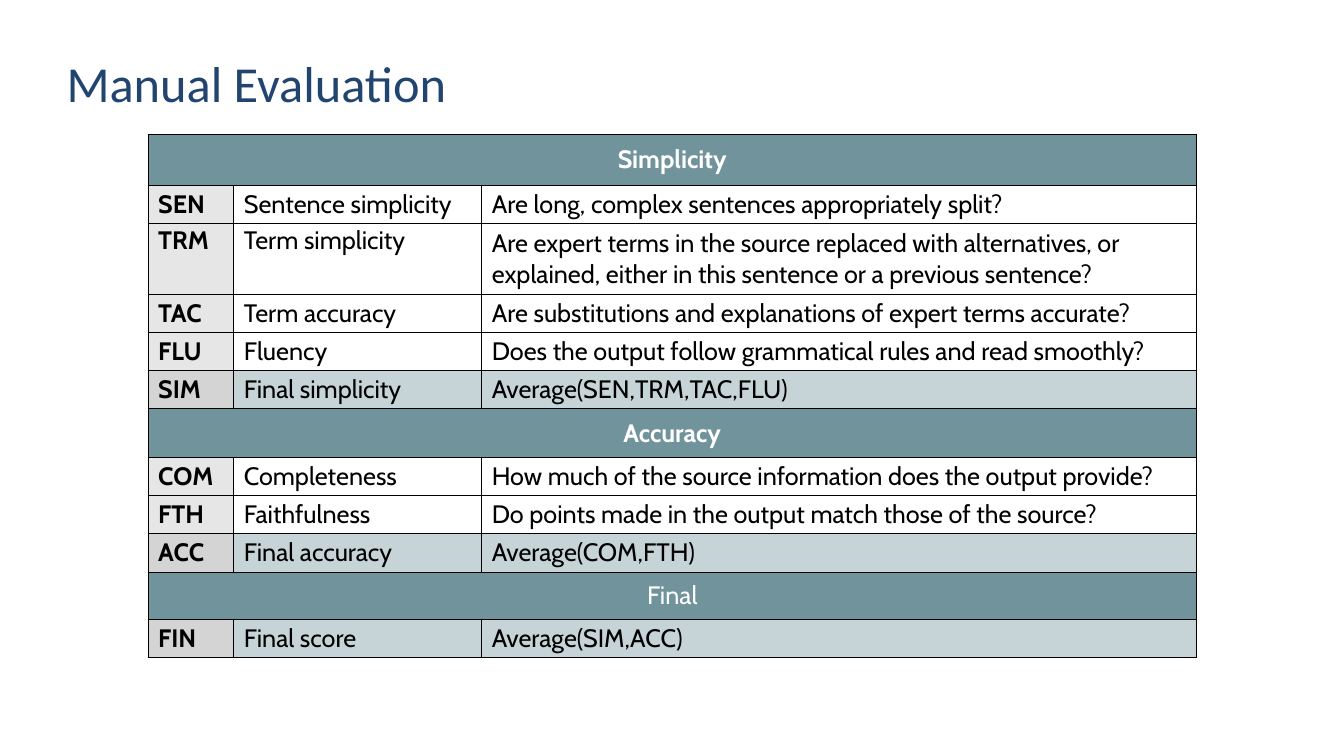
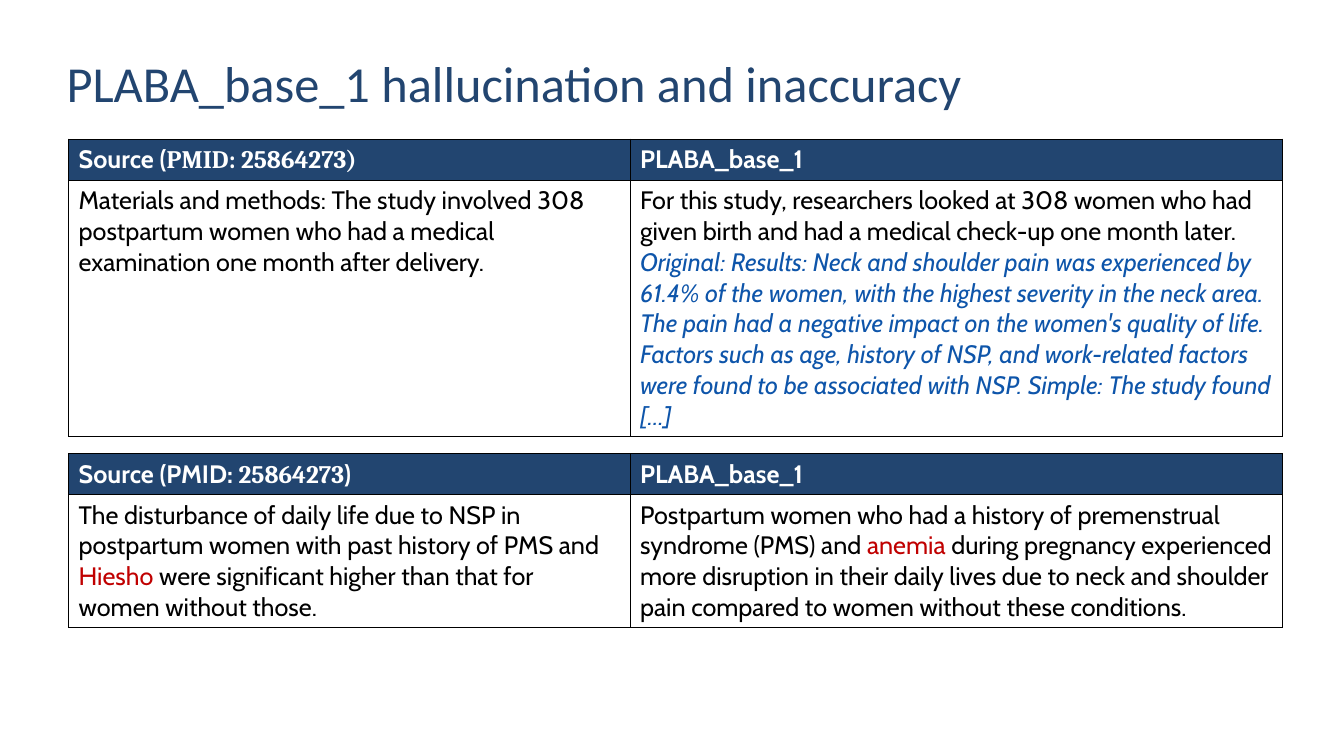
from pptx import Presentation
from pptx.dml.color import RGBColor as RGB
from pptx.enum.text import MSO_ANCHOR as Anchor, PP_ALIGN as Align
from pptx.oxml import parse_xml
from pptx.oxml.ns import nsdecls
from pptx.util import Pt

HUES = {
    "navy": "224570", "teal": "71939C", "mist": "C6D4D7",
    "pale": "E7E6E6", "grey": "D4D4D4", "white": "FFFFFF",
    "black": "000000", "blue": "0E55AA", "red": "C00000",
}
FONT, SERIF, HEAD = "Cabin", "Cambria", "Calibri"

# Section name, bold or not, header height, then rows of code, name, meaning
SCORES = [
    ("Simplicity", True, 36.5, [
        ("SEN", "Sentence simplicity", "Are long, complex sentences appropriately split?"),
        ("TRM", "Term simplicity", "Are expert terms in the source replaced with alternatives, "
         "or explained, either in this sentence or a previous sentence?"),
        ("TAC", "Term accuracy", "Are substitutions and explanations of expert terms accurate?"),
        ("FLU", "Fluency", "Does the output follow grammatical rules and read smoothly?"),
        ("SIM", "Final simplicity", "Average(SEN,TRM,TAC,FLU)"),
    ]),
    ("Accuracy", True, 35, [
        ("COM", "Completeness", "How much of the source information does the output provide?"),
        ("FTH", "Faithfulness", "Do points made in the output match those of the source?"),
        ("ACC", "Final accuracy", "Average(COM,FTH)"),
    ]),
    ("Final", False, 33.6, [("FIN", "Final score", "Average(SIM,ACC)")]),
]
LINE, TALL = 27.2, 50.8

# Top, body height, source label, source text, output text
PAIRS = [
    (99.4, 182.5,
     [("Source (",), ("PMID: 25864273)", {"font": SERIF})],
     [("Materials and methods: The study involved 308 postpartum women who had "
       "a medical examination one month after delivery.",)],
     [("For this study, researchers looked at 308 women who had given birth and "
       "had a medical check-up one month later. ",),
      ("Original: Results: Neck and shoulder pain was experienced by 61.4% of the "
       "women, with the highest severity in the neck area. The pain had a negative "
       "impact on the women's quality of life. Factors such as age, history of NSP, "
       "and work-related factors were found to be associated with NSP. Simple: The "
       "study found […]", {"hue": "blue", "italic": True})]),
    (324, 95,
     [("Source (PMID: ",), ("25864273", {"font": SERIF}), (")",)],
     [("The disturbance of daily life due to NSP in postpartum women with past "
       "history of PMS and ",),
      ("Hiesho", {"hue": "red"}),
      (" were significant higher than that for women without those.",)],
     [("Postpartum women who had a history of premenstrual syndrome (PMS) and ",),
      ("anemia", {"hue": "red"}),
      (" during pregnancy experienced more disruption in their daily lives due to "
       "neck and shoulder pain compared to women without these conditions.",)]),
]


def tint(name):
    return RGB.from_string(HUES[name])


def add_run(para, text, hue="black", size=18, font=FONT, bold=False, italic=None):
    run = para.add_run()
    run.text = text
    face = run.font
    face.name, face.size, face.bold, face.italic = font, Pt(size), bold, italic
    face.color.rgb = tint(hue)


def add_page(deck, title):
    """Add a slide with the shared title style."""
    page = deck.slides.add_slide(deck.slide_layouts[5])
    box = page.shapes.title
    box.left, box.top, box.width, box.height = Pt(47.5), Pt(38.5), Pt(860), Pt(40)
    frame = box.text_frame
    frame.margin_left = frame.margin_right = frame.margin_top = frame.margin_bottom = 0
    frame.vertical_anchor = Anchor.MIDDLE
    frame.word_wrap = True
    para = frame.paragraphs[0]
    para.alignment = Align.LEFT
    add_run(para, title, "navy", 36, HEAD)
    return page


def add_grid(page, left, top, cols, rows):
    """Add a table with thin black borders and no fills."""
    table = page.shapes.add_table(
        len(rows), len(cols), Pt(left), Pt(top), Pt(sum(cols)), Pt(sum(rows))).table
    table.first_row = table.horz_banding = False
    for col, width in zip(table.columns, cols):
        col.width = Pt(width)
    for row, height in zip(table.rows, rows):
        row.height = Pt(height)
    for cell in table.iter_cells():
        props = cell._tc.get_or_add_tcPr()
        for side in "LRTB":
            props.append(parse_xml(
                f'<a:ln{side} {nsdecls("a")} w="9525"><a:solidFill>'
                f'<a:srgbClr val="{HUES["black"]}"/></a:solidFill></a:ln{side}>'))
        cell.fill.background()
    return table


def fill_cell(cell, runs, fill=None, pad=3.6, anchor=Anchor.TOP, align=None, **base):
    """Write runs of (text, changes to the base style) into a cell."""
    cell.margin_top = cell.margin_bottom = Pt(pad)
    cell.vertical_anchor = anchor
    if fill:
        cell.fill.solid()
        cell.fill.fore_color.rgb = tint(fill)
    para = cell.text_frame.paragraphs[0]
    para.alignment = align
    for text, *more in runs:
        add_run(para, text, **{**base, **(more[0] if more else {})})


def add_scores(page, left, top):
    heights = []
    for _, _, height, items in SCORES:
        heights += [height] + [TALL if code == "TRM" else LINE for code, _, _ in items]
    table = add_grid(page, left, top, [61.2, 177.1, 510.5], heights)
    row = 0
    for name, bold, height, items in SCORES:
        head = table.cell(row, 0)
        head.merge(table.cell(row, 2))
        fill_cell(head, [(name,)], "teal", 7.2 if row == 0 else 1.4, Anchor.MIDDLE,
                  Align.CENTER, hue="white", bold=bold)
        for item in items:
            row += 1
            final = item is items[-1]
            fills = ["grey", "mist", "mist"] if final else ["pale", None, None]
            for col, (text, fill) in enumerate(zip(item, fills)):
                high = item[0] == "TRM" and col < 2
                fill_cell(table.cell(row, col), [(text,)], fill, 1.4,
                          Anchor.TOP if high else Anchor.MIDDLE, bold=col == 0)
        row += 1


def add_pair(page, left, top, height, label, source, output):
    """Add a table with a source text beside its simplified output."""
    table = add_grid(page, left, top, [401, 466], [29.4, height])
    for col, runs in enumerate([label, [("PLABA_base_1",)]]):
        fill_cell(table.cell(0, col), runs, "navy", hue="white", bold=True)
    for col, runs in enumerate([source, output]):
        fill_cell(table.cell(1, col), runs)


def main():
    deck = Presentation()
    deck.slide_width, deck.slide_height = Pt(960), Pt(540)
    add_scores(add_page(deck, "Manual Evaluation"), 105.8, 96)
    page = add_page(deck, "PLABA_base_1 hallucination and inaccuracy")
    for top, *parts in PAIRS:
        add_pair(page, 49, top, *parts)
    deck.save("out.pptx")


if __name__ == "__main__":
    main()
